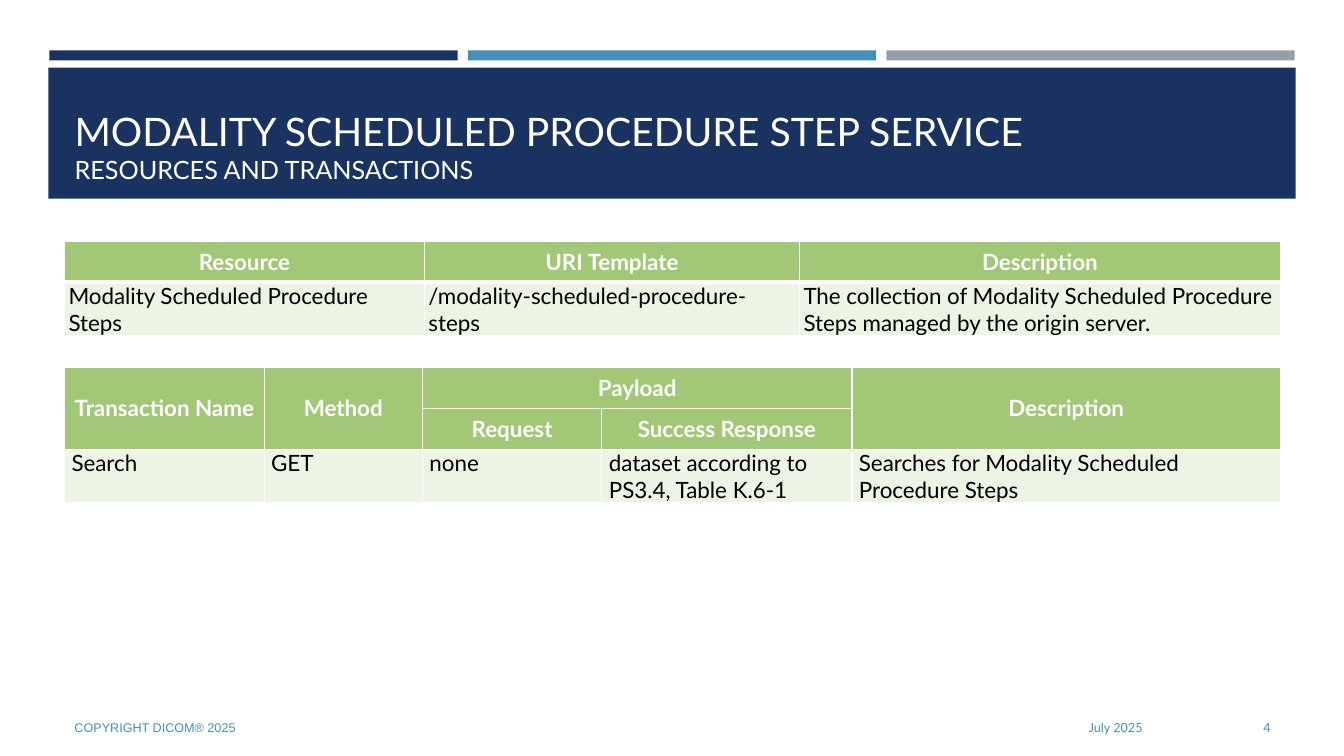
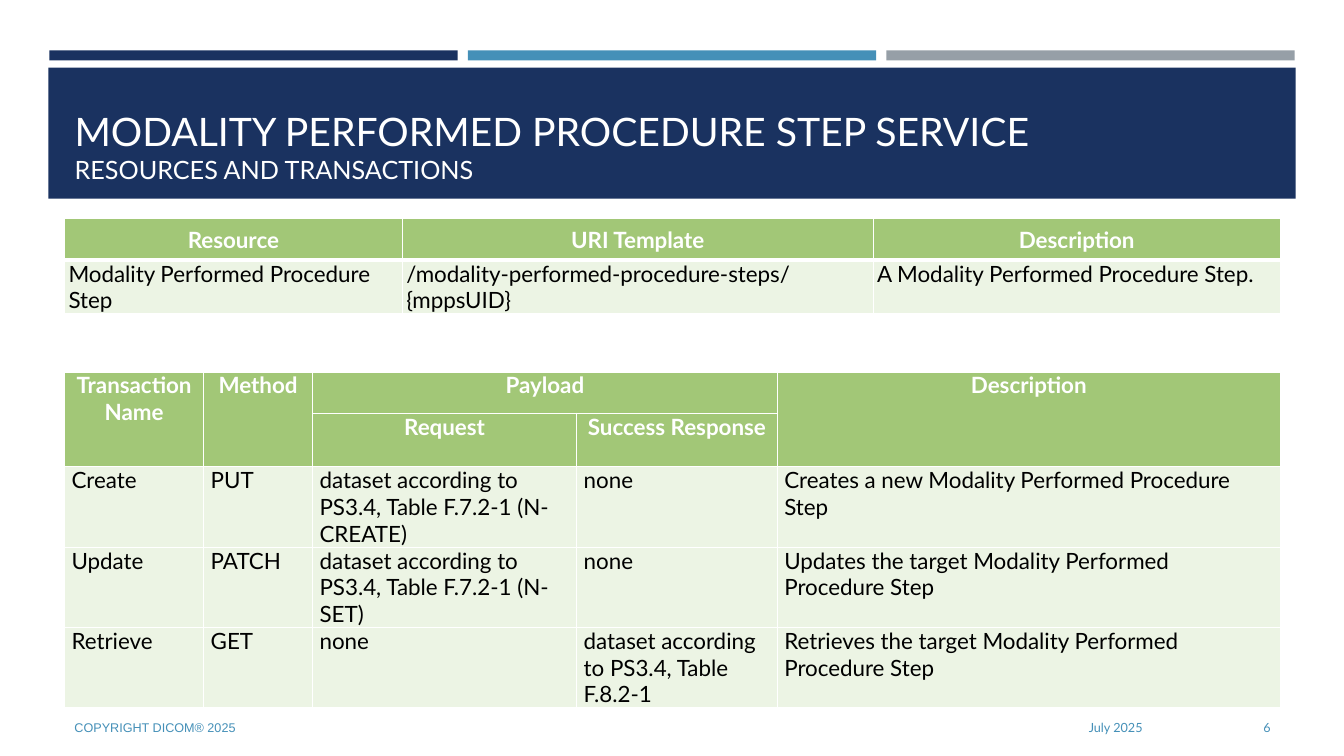
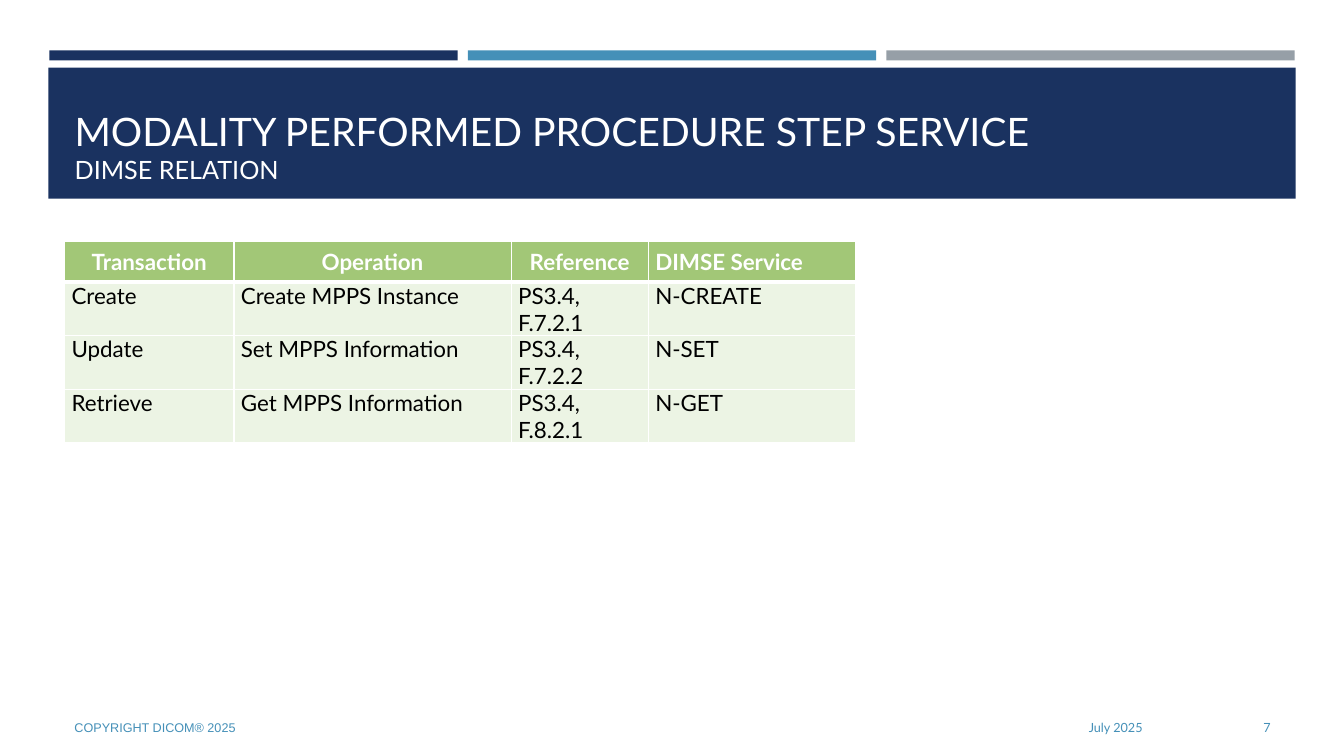
from dataclasses import dataclass

from lxml.etree import SubElement
from pptx import Presentation
from pptx.dml.color import RGBColor
from pptx.enum.shapes import MSO_SHAPE
from pptx.enum.text import MSO_ANCHOR, MSO_AUTO_SIZE, PP_ALIGN
from pptx.oxml.ns import qn
from pptx.slide import Slide, SlideLayout
from pptx.util import Inches, Pt

NAVY = RGBColor(0x1A, 0x32, 0x60)
BLUE = RGBColor(0x45, 0x90, 0xB8)
GREY = RGBColor(0x96, 0x9F, 0xA7)
WHITE = RGBColor(0xFF, 0xFF, 0xFF)
BLACK = RGBColor(0x00, 0x00, 0x00)
HEADING_GREEN = RGBColor(0xA2, 0xC7, 0x77)
ROW_GREEN = RGBColor(0xEC, 0xF4, 0xE4)

FONT = "Lato"
MARGIN = 0.64
CONTENT_WIDTH = 12.06
ROW_HEIGHT = 0.41
STRIPE_LEFT = 0.49
STRIPE_WIDTH = 4.05
STRIPE_STEP = 4.15

RESOURCE_HEADINGS = ("Resource", "URI Template", "Description")
TRANSACTION_HEADINGS = (
    ("Transaction Name", "Method", "Payload", "", "Description"),
    ("", "", "Request", "Success Response", ""),
)
TRANSACTION_MERGES = (
    ((0, 0), (1, 0)),
    ((0, 1), (1, 1)),
    ((0, 2), (0, 3)),
    ((0, 4), (1, 4)),
)


@dataclass(frozen=True)
class Band:
    left: float
    top: float
    width: float
    height: float
    color: RGBColor


@dataclass(frozen=True)
class FooterItem:
    left: float
    width: float
    align: PP_ALIGN
    font: str = FONT


@dataclass(frozen=True)
class Grid:
    top: float
    widths: tuple[float, ...]
    headings: tuple[tuple[str, ...], ...]
    rows: tuple[tuple[str, ...], ...]
    inset: float = 0.07
    heading_rule: int = 1
    heading_anchor: MSO_ANCHOR = MSO_ANCHOR.MIDDLE
    left_headings: tuple[str, ...] = ()
    merges: tuple[tuple[tuple[int, int], tuple[int, int]], ...] = ()


@dataclass(frozen=True)
class Page:
    number: int
    heading: str
    subheading: str
    grids: tuple[Grid, ...]


BANDS = (
    *(
        Band(STRIPE_LEFT + index * STRIPE_STEP, 0.5, STRIPE_WIDTH, 0.1, color)
        for index, color in enumerate((NAVY, BLUE, GREY))
    ),
    Band(0.48, 0.67, 12.37, 1.3, NAVY),
)
DATE = FooterItem(8.32, 3.11, PP_ALIGN.RIGHT)
COPYRIGHT = FooterItem(MARGIN, 7.56, PP_ALIGN.LEFT, "Arial")
PAGE_NUMBER = FooterItem(11.55, 1.15, PP_ALIGN.RIGHT)

PAGES = (
    Page(
        4,
        "MODALITY SCHEDULED PROCEDURE STEP SERVICE",
        "RESOURCES AND TRANSACTIONS",
        (
            Grid(
                2.39,
                (3.57, 3.72, 4.77),
                (RESOURCE_HEADINGS,),
                ((
                    "Modality Scheduled Procedure Steps",
                    "/modality-scheduled-procedure-steps",
                    "The collection of Modality Scheduled Procedure Steps "
                    "managed by the origin server.",
                ),),
                inset=0.04,
                heading_rule=3,
            ),
            Grid(
                3.64,
                (1.98, 1.57, 1.78, 2.48, 4.25),
                TRANSACTION_HEADINGS,
                ((
                    "Search", "GET", "none",
                    "dataset according to PS3.4, Table K.6-1",
                    "Searches for Modality Scheduled Procedure Steps",
                ),),
                merges=TRANSACTION_MERGES,
            ),
        ),
    ),
    Page(
        6,
        "MODALITY PERFORMED PROCEDURE STEP SERVICE",
        "RESOURCES AND TRANSACTIONS",
        (
            Grid(
                2.17,
                (3.35, 4.67, 4.04),
                (RESOURCE_HEADINGS,),
                ((
                    "Modality Performed Procedure Step",
                    "/modality-performed-procedure-steps/{mppsUID}",
                    "A Modality Performed Procedure Step.",
                ),),
                inset=0.04,
                heading_rule=3,
            ),
            Grid(
                3.69,
                (1.38, 1.08, 2.62, 1.99, 4.99),
                TRANSACTION_HEADINGS,
                (
                    (
                        "Create", "PUT",
                        "dataset according to PS3.4, Table F.7.2-1 (N-CREATE)",
                        "none",
                        "Creates a new Modality Performed Procedure Step",
                    ),
                    (
                        "Update", "PATCH",
                        "dataset according to PS3.4, Table F.7.2-1 (N-SET)",
                        "none",
                        "Updates the target Modality Performed Procedure Step",
                    ),
                    (
                        "Retrieve", "GET", "none",
                        "dataset according to PS3.4, Table F.8.2-1",
                        "Retrieves the target Modality Performed Procedure Step",
                    ),
                ),
                heading_anchor=MSO_ANCHOR.TOP,
                merges=TRANSACTION_MERGES,
            ),
        ),
    ),
    Page(
        7,
        "MODALITY PERFORMED PROCEDURE STEP SERVICE",
        "DIMSE RELATION",
        (
            Grid(
                2.39,
                (1.68, 2.75, 1.36, 2.06),
                (("Transaction", "Operation", "Reference", "DIMSE Service"),),
                (
                    ("Create", "Create MPPS Instance", "PS3.4, F.7.2.1", "N-CREATE"),
                    ("Update", "Set MPPS Information", "PS3.4, F.7.2.2", "N-SET"),
                    ("Retrieve", "Get MPPS Information", "PS3.4, F.8.2.1", "N-GET"),
                ),
                heading_rule=3,
                left_headings=("DIMSE Service",),
            ),
        ),
    ),
)


def style_run(run, size: int, color: RGBColor, font: str = FONT, bold: bool = False) -> None:
    run.font.name = font
    run.font.size = Pt(size)
    run.font.bold = bold
    run.font.color.rgb = color


def style_layout(presentation, layout: SlideLayout) -> None:
    title_level = presentation.slide_master.element.find(
        f"{qn('p:txStyles')}/{qn('p:titleStyle')}/{qn('a:lvl1pPr')}"
    )
    title_level.set("algn", "l")
    title_level.find(qn("a:defRPr")).set("sz", "2800")
    title = layout.placeholders[0]
    title.left, title.top = Inches(MARGIN), Inches(0.77)
    title.width, title.height = Inches(CONTENT_WIDTH), Inches(1.11)
    title.text_frame.vertical_anchor = MSO_ANCHOR.BOTTOM
    title.text_frame.auto_size = MSO_AUTO_SIZE.NONE


def move_bands_to_layout(slide: Slide, layout: SlideLayout) -> None:
    for position, band in enumerate(BANDS, start=2):
        stripe = slide.shapes.add_shape(
            MSO_SHAPE.RECTANGLE,
            Inches(band.left), Inches(band.top), Inches(band.width), Inches(band.height),
        )
        stripe.shadow.inherit = False
        stripe.fill.solid()
        stripe.fill.fore_color.rgb = band.color
        stripe.line.fill.background()
        layout.shapes.element.insert(position, stripe.element)


def add_title(slide: Slide, page: Page) -> None:
    paragraph = slide.shapes.title.text_frame.paragraphs[0]
    paragraph.text = f"{page.heading}\v{page.subheading}"
    for run, size in zip(paragraph.runs, (28, 18)):
        style_run(run, size, WHITE)


def add_footer(slide: Slide, item: FooterItem, text: str) -> None:
    footer = slide.shapes.add_textbox(
        Inches(item.left), Inches(7.02), Inches(item.width), Inches(0.4)
    )
    frame = footer.text_frame
    frame.word_wrap = True
    frame.vertical_anchor = MSO_ANCHOR.MIDDLE
    frame.text = text
    frame.paragraphs[0].alignment = item.align
    style_run(frame.paragraphs[0].runs[0], 9, BLUE, item.font)


def set_borders(cell, bottom: int) -> None:
    properties = cell._tc.get_or_add_tcPr()
    edges = (("a:lnL", 1), ("a:lnR", 1), ("a:lnT", 1), ("a:lnB", bottom))
    for position, (edge, points) in enumerate(edges):
        line = SubElement(properties, qn(edge), w=str(Pt(points)))
        fill = SubElement(line, qn("a:solidFill"))
        SubElement(fill, qn("a:srgbClr"), val=str(WHITE))
        properties.insert(position, line)


def fill_cell(cell, text: str, grid: Grid, is_heading: bool) -> None:
    cell.margin_left = cell.margin_right = Inches(grid.inset)
    cell.margin_top = cell.margin_bottom = 0
    cell.vertical_anchor = grid.heading_anchor if is_heading else MSO_ANCHOR.TOP
    cell.fill.solid()
    cell.fill.fore_color.rgb = HEADING_GREEN if is_heading else ROW_GREEN
    set_borders(cell, grid.heading_rule if is_heading else 1)
    paragraph = cell.text_frame.paragraphs[0]
    paragraph.text = text
    paragraph.space_before = paragraph.space_after = Pt(2)
    centred = is_heading and text not in grid.left_headings
    paragraph.alignment = PP_ALIGN.CENTER if centred else PP_ALIGN.LEFT
    for run in paragraph.runs:
        style_run(run, 16, WHITE if is_heading else BLACK, bold=is_heading)


def add_grid(slide: Slide, grid: Grid) -> None:
    lines = grid.headings + grid.rows
    table = slide.shapes.add_table(
        len(lines), len(grid.widths),
        Inches(MARGIN), Inches(grid.top),
        Inches(sum(grid.widths)), Inches(ROW_HEIGHT * len(lines)),
    ).table
    table.horz_banding = False
    for column, width in zip(table.columns, grid.widths):
        column.width = Inches(width)
    for row_index, line in enumerate(lines):
        table.rows[row_index].height = Inches(ROW_HEIGHT)
        for column_index, text in enumerate(line):
            fill_cell(
                table.cell(row_index, column_index), text, grid,
                row_index < len(grid.headings),
            )
    for first, last in grid.merges:
        table.cell(*first).merge(table.cell(*last))


def main() -> None:
    presentation = Presentation()
    presentation.slide_width = Inches(13.33)
    presentation.slide_height = Inches(7.5)
    layout = presentation.slide_layouts[5]
    style_layout(presentation, layout)
    for page in PAGES:
        slide = presentation.slides.add_slide(layout)
        add_title(slide, page)
        for grid in page.grids:
            add_grid(slide, grid)
        add_footer(slide, DATE, "July 2025")
        add_footer(slide, COPYRIGHT, "COPYRIGHT DICOM® 2025")
        add_footer(slide, PAGE_NUMBER, str(page.number))
    move_bands_to_layout(presentation.slides[0], layout)
    presentation.save("out.pptx")


if __name__ == "__main__":
    main()
